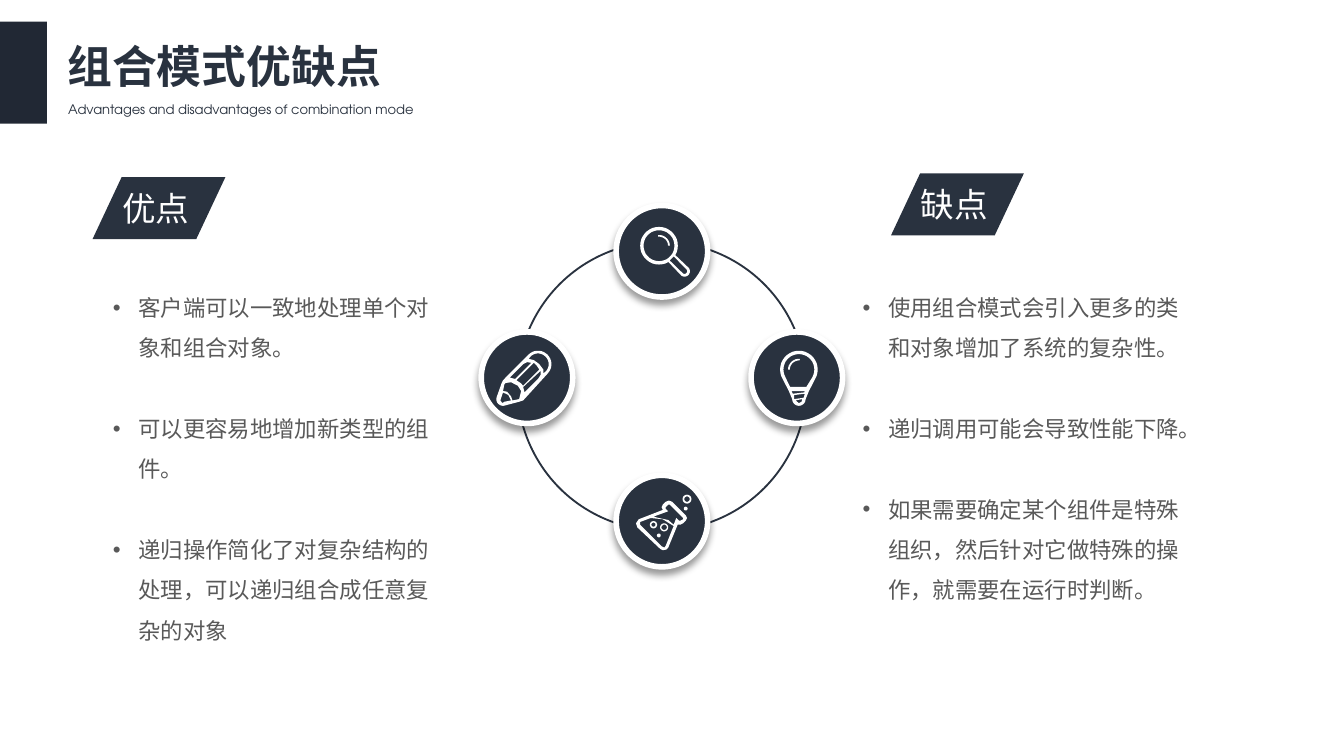
import math
import pptx
import pptx.dml.color
import pptx.enum.shapes
import pptx.enum.text
import pptx.oxml
import pptx.oxml.ns
import pptx.util
from pptx.util import Cm

RGBColor = pptx.dml.color.RGBColor
MSO_SHAPE = pptx.enum.shapes.MSO_SHAPE
MSO_ANCHOR = pptx.enum.text.MSO_ANCHOR
AUTO_SIZE = pptx.enum.text.MSO_AUTO_SIZE
ALIGN = pptx.enum.text.PP_ALIGN

NAVY = RGBColor(0x29, 0x32, 0x3F)
BAND = RGBColor(0x21, 0x28, 0x34)
GREY = RGBColor(0x59, 0x59, 0x59)
WHITE = RGBColor(0xFF, 0xFF, 0xFF)
CJK = "Noto Sans CJK SC"
GRID = Cm(0.0254)  # one unit of the icon drawings


def arc(cx, cy, r, start=0, end=360):
    steps = max(6, int(abs(end - start) / 10))
    angles = [math.radians(start + (end - start) * i / steps) for i in range(steps + 1)]
    return [(cx + r * math.cos(a), cy + r * math.sin(a)) for a in angles]


def band(cx, cy, outer, inner, start, end):
    return arc(cx, cy, outer, start, end) + arc(cx, cy, inner, end, start)


def ring(cx, cy, outer, inner):
    return [arc(cx, cy, outer), arc(cx, cy, inner)]


# Each icon is a list of pieces; each piece is an outline followed by its holes
MAGNIFIER = [
    [arc(14, 14, 14, 60, 390) + arc(33, 33, 4, -45, 135),
     arc(14, 14, 11.5),
     [(25, 22)] + arc(33, 33, 2, -45, 135) + [(22, 25)]],
    [band(14, 14, 8, 6.7, -95, 0)],
]
PENCIL = [
    [arc(31, 10, 10, -135, 45) + [(20, 37), (17, 38)] + arc(5, 36, 5, 80, 195)
     + [(4, 24), (5, 22)],
     arc(31, 10, 8, -130, 40) + [(35, 17), (35, 14), (32, 10), (28, 7), (24, 6)],
     [(14, 21), (10, 20), (20, 10), (23, 8.5), (26, 9)],
     [(20, 26), (18, 24), (15, 22), (28, 9), (30, 11), (32, 14)],
     [(21, 31), (20, 27), (33, 15), (33, 18), (31, 21)],
     [(12, 37), (11, 34), (8, 30.5), (5, 30), (6, 25), (7, 24), (11, 23.5),
      (16, 26), (18.5, 30), (17, 36)],
     [(6, 38), (4.5, 39), (3, 37), (5, 31), (9, 33), (11, 37)]],
]
BULB = [
    [arc(14.5, 14, 14, 150, 390) + [(22, 30)] + arc(14.5, 36, 5, 0, 180) + [(7, 30)],
     arc(14.5, 14, 11.5, 150, 390) + [(20, 27), (8, 27)],
     [(9, 30), (19, 30), (18.5, 31), (10, 32)],
     [(11, 33), (19, 32), (18, 35), (11, 36)],
     [(12, 37), (17, 36), (16.5, 38), (14.5, 39)]],
    [band(14.5, 14, 8, 6.7, 180, 275)],
]
FLASK = [
    [[(27, 5), (24.5, 4), (22, 5), (20, 7), (19, 9), (20, 11), (2, 18), (0, 21),
      (1, 24), (18, 40), (20, 41), (22.5, 40.5), (24, 39), (31, 22), (33, 22),
      (35, 21), (37, 19), (38, 17), (37, 15)],
     [(35, 18), (33, 19), (32, 19), (30, 17), (28, 22), (24, 18.5), (17, 17),
      (13, 16), (24, 12), (22, 10), (22, 9), (24, 7), (25, 7), (35, 17)],
     [(22, 38), (21, 39), (19, 38), (3, 22), (3, 20), (11, 17), (20, 18), (28, 23)]],
    ring(21, 24, 3, 2),
    ring(38, 3, 3.3, 2),
    ring(13, 22, 2.7, 1.5),
    [arc(17, 30, 1.4)],
    [arc(37, 10, 1.4)],
]


def place(sp, box):
    sp.left, sp.top, sp.width, sp.height = (Cm(v) for v in box)


def paint(sp, fill=None, line=None, width=1):
    sp.shadow.inherit = False
    if fill is None:
        sp.fill.background()
    else:
        sp.fill.solid()
        sp.fill.fore_color.rgb = fill
    if line is None:
        sp.line.fill.background()
    else:
        sp.line.color.rgb = line
        sp.line.width = pptx.util.Pt(width)


def add_shape(s, kind, box, **style):
    sp = s.shapes.add_shape(kind, *(Cm(v) for v in box))
    paint(sp, **style)
    return sp


def style_text(p, size, font, color, bold=False):
    p.font.size = pptx.util.Pt(size)
    p.font.name = font
    p.font.color.rgb = color
    p.font.bold = bold


def add_label(s, box, text, size, font, color, wrap):
    tf = s.shapes.add_textbox(*(Cm(v) for v in box)).text_frame
    tf.word_wrap = wrap
    tf.auto_size = AUTO_SIZE.SHAPE_TO_FIT_TEXT
    tf.text = text
    style_text(tf.paragraphs[0], size, font, color)


def build_header(s, box):
    x, y, w, h = box
    add_shape(s, MSO_SHAPE.RECTANGLE, (x, y, 0.89, h), fill=BAND)
    place(s.shapes.title, (x + 1.02, y + 0.2, w, 1.27))
    tf = s.shapes.title.text_frame
    tf.text = "组合模式优缺点"
    tf.word_wrap = False
    tf.auto_size = AUTO_SIZE.SHAPE_TO_FIT_TEXT
    tf.vertical_anchor = MSO_ANCHOR.TOP
    tf.paragraphs[0].alignment = ALIGN.LEFT
    style_text(tf.paragraphs[0], 24, CJK, NAVY, bold=True)
    add_label(s, (x + 1.04, y + 1.39, 7.11, 0.56),
              "Advantages and disadvantages of combination mode",
              7, "TeX Gyre Adventor", NAVY, False)


def build_tag(s, box, text):
    x, y, w, h = box
    sp = add_shape(s, MSO_SHAPE.PARALLELOGRAM, box, fill=NAVY)
    sp.adjustments[0] = 0.47
    add_label(s, (x + 0.31, y + 0.08, w - 0.43, h - 0.15), text, 18, CJK, WHITE, True)


def build_list(body, box, items):
    place(body, box)
    tf = body.text_frame
    tf.auto_size = AUTO_SIZE.NONE
    tf.text = "\n".join(items)
    for i, p in enumerate(tf.paragraphs):
        p.line_spacing = 1.5
        p.space_before = pptx.util.Pt(21.6 if i else 0)
        style_text(p, 12, "Calibri", GREY)
        pPr = p._p.get_or_add_pPr()
        pPr.set("marL", str(Cm(0.48)))
        pPr.set("indent", str(Cm(-0.48)))


def add_soft_shadow(sp):
    effects = sp._element.spPr.find(pptx.oxml.ns.qn("a:effectLst"))
    effects.append(pptx.oxml.parse_xml(
        f'<a:outerShdw {pptx.oxml.ns.nsdecls("a")} blurRad="50800" dist="38100" '
        'dir="5400000" algn="t" rotWithShape="0"><a:srgbClr val="000000">'
        '<a:alpha val="40000"/></a:srgbClr></a:outerShdw>'))


def build_icon(s, x, y, pieces):
    for piece in pieces:
        # The builder keeps whole numbers only, so work in tenths of a unit
        outlines = [[(10 * px, 10 * py) for px, py in pts] for pts in piece]
        fb = s.shapes.build_freeform(*outlines[0][0], scale=GRID / 10)
        fb.add_line_segments(outlines[0][1:])
        for hole in outlines[1:]:
            fb.move_to(*hole[0])
            fb.add_line_segments(hole[1:])
        paint(fb.convert_to_shape(Cm(x), Cm(y)), fill=WHITE)


def build_wheel(s, box):
    x, y, w, h = box
    cx, cy = x + w / 2, y + h / 2
    add_shape(s, MSO_SHAPE.OVAL, box, line=NAVY)
    reach, d = 2.55, 1.73
    # Node offset from the centre, icon, icon corner from the node centre
    nodes = [(0, -reach, MAGNIFIER, -0.41, -0.46),
             (-reach, -0.16, PENCIL, -0.58, -0.51),
             (reach, -0.16, BULB, -0.33, -0.51),
             (0, reach, FLASK, -0.49, -0.49)]
    for dx, dy, icon, ix, iy in nodes:
        nx, ny = cx + dx, cy + dy
        add_soft_shadow(add_shape(s, MSO_SHAPE.OVAL, (nx - d / 2, ny - d / 2, d, d),
                                  fill=NAVY, line=WHITE, width=3))
        build_icon(s, nx + ix, ny + iy, icon)


def main():
    prs = pptx.Presentation()
    prs.slide_width, prs.slide_height = Cm(25.4), Cm(14.29)
    s = prs.slides.add_slide(prs.slide_layouts[3])  # title and two lists

    build_header(s, (0, 0.41, 6.45, 1.93))
    build_wheel(s, (9.78, 4.57, 5.46, 5.46))

    # Advantages on the left, disadvantages on the right
    build_tag(s, (1.75, 3.35, 2.51, 1.17), "优点")
    build_list(s.placeholders[1], (1.88, 5.18, 6.76, 6.1), [
        "客户端可以一致地处理单个对象和组合对象。",
        "可以更容易地增加新类型的组件。",
        "递归操作简化了对复杂结构的处理，可以递归组合成任意复杂的对象"])
    build_tag(s, (16.84, 3.28, 2.51, 1.17), "缺点")
    build_list(s.placeholders[2], (16.05, 5.18, 6.76, 6.1), [
        "使用组合模式会引入更多的类和对象增加了系统的复杂性。",
        "递归调用可能会导致性能下降。",
        "如果需要确定某个组件是特殊组织，然后针对它做特殊的操作，就需要在运行时判断。"])
    prs.save("out.pptx")


if __name__ == "__main__":
    main()
